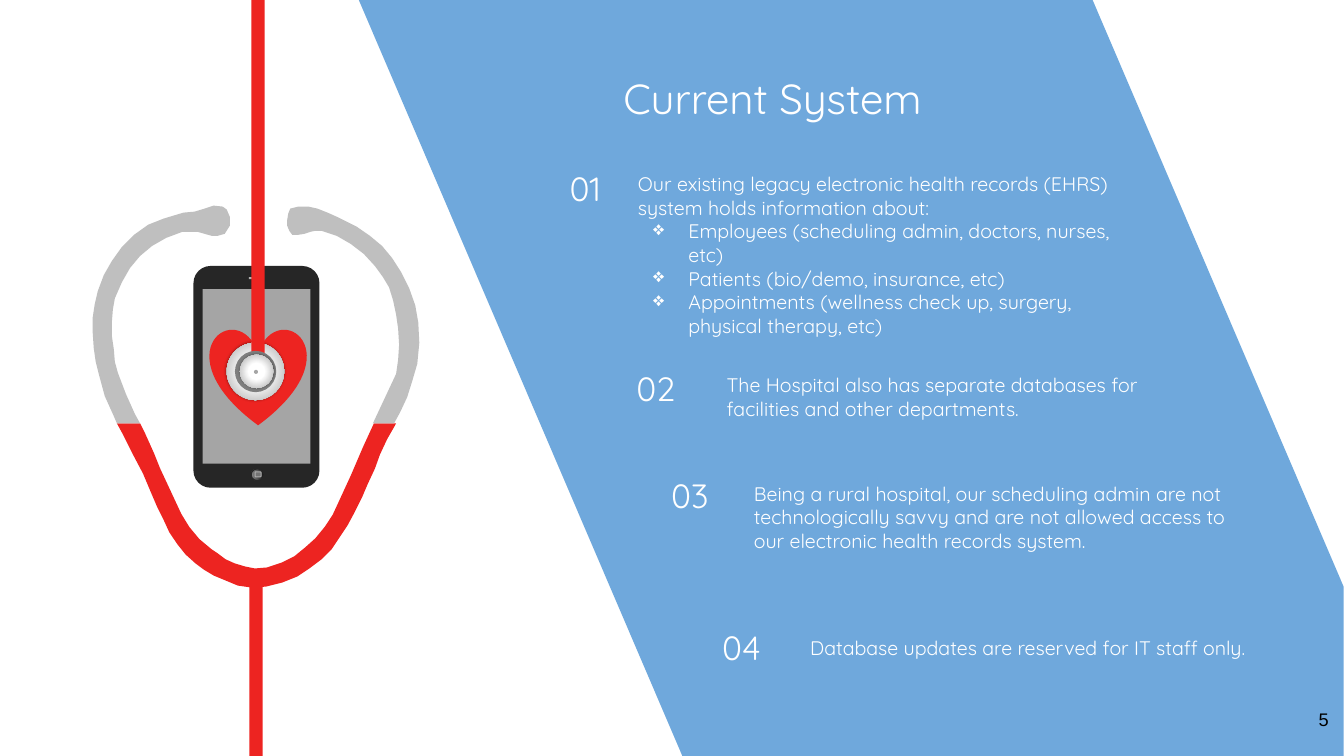
from dataclasses import dataclass

from lxml import etree
from pptx import Presentation
from pptx.dml.color import RGBColor
from pptx.enum import shapes, text
from pptx.oxml import ns
from pptx.util import Pt

WHITE = RGBColor(0xFF, 0xFF, 0xFF)
BLACK = RGBColor(0, 0, 0)
BLUE = RGBColor(0x6F, 0xA8, 0xDC)
RED = RGBColor(0xED, 0x24, 0x21)
DARK = RGBColor(0x26, 0x26, 0x26)
SLATE = RGBColor(0x73, 0x73, 0x73)
STEEL = RGBColor(0x7F, 0x7F, 0x7F)
GRAY = RGBColor(0xA5, 0xA5, 0xA5)
SILVER = RGBColor(0xB0, 0xB0, 0xB0)
LIGHT = RGBColor(0xBF, 0xBF, 0xBF)
COAL = RGBColor(0x0F, 0x0F, 0x0F)
ASH = RGBColor(0x59, 0x59, 0x59)

KIND = shapes.MSO_SHAPE
ALIGN = text.PP_ALIGN
GLOW = ((0, WHITE), (35, WHITE), (100, GRAY))
METAL = ((0, COAL), (56, ASH), (91, STEEL), (100, LIGHT))
GRID = Pt(0.72)  # outline points lie on a grid of 0.72 pt

# Outlines
PANEL = [[(356, 0), (1084, 0), (1333, 582), (1333, 750), (677, 750)]]
YOKE = [[
    (116, 420), (139, 420), (144, 430), (153, 450), (159, 465), (166, 480),
    (173, 495), (180, 510), (188, 523), (198, 535), (210, 545), (216, 549),
    (224, 555), (233, 559), (243, 562), (253, 564), (265, 563), (280, 558),
    (292, 552), (303, 543), (313, 534), (322, 523), (330, 511), (336, 498),
    (342, 485), (348, 472), (354, 458), (360, 444), (371, 420), (393, 420),
    (392, 422), (384, 436), (377, 451), (372, 465), (365, 480), (359, 494),
    (352, 508), (345, 521), (337, 533), (329, 545), (319, 555), (307, 564),
    (295, 572), (280, 578), (264, 582), (250, 583), (236, 581), (224, 576),
    (212, 571), (202, 565), (194, 559), (184, 550), (176, 540), (168, 528),
    (162, 515), (156, 503), (150, 489), (142, 470), (132, 451), (122, 431),
]]
EARS = [
    [(296, 205), (306, 205), (315, 207), (325, 211), (334, 215), (342, 219),
     (354, 225), (367, 234), (379, 244), (389, 256), (398, 270), (406, 286),
     (412, 303), (415, 320), (416, 340), (414, 361), (409, 378), (404, 394),
     (397, 409), (391, 420), (370, 420), (393, 371), (395, 357), (396, 342),
     (395, 326), (393, 312), (390, 298), (386, 285), (380, 275), (372, 264),
     (361, 252), (348, 242), (334, 234), (319, 229), (313, 229), (308, 230),
     (302, 232), (296, 233), (290, 233), (287, 229), (285, 224), (285, 218),
     (286, 212), (288, 207)],
    [(212, 204), (221, 205), (225, 208), (228, 215), (228, 224), (223, 232),
     (216, 234), (210, 234), (203, 232), (196, 230), (189, 230), (181, 230),
     (165, 236), (151, 244), (139, 254), (129, 266), (121, 280), (114, 296),
     (112, 307), (111, 320), (111, 333), (113, 347), (114, 359), (117, 370),
     (125, 391), (134, 411), (139, 420), (116, 420), (113, 413), (104, 393),
     (98, 371), (95, 359), (93, 345), (92, 330), (92, 315), (94, 302),
     (97, 289), (103, 273), (111, 259), (121, 245), (133, 233), (147, 223),
     (162, 217), (172, 214), (182, 211), (193, 210), (203, 207)],
]


@dataclass
class Part:
    kind: KIND
    box: tuple[float, float, float, float]
    fill: RGBColor | tuple
    line: RGBColor | None = None
    width: float = 0
    round: float | None = None
    shade: bool = False


@dataclass
class Item:
    mark: str
    spot: tuple[float, float]
    box: tuple[float, float, float, float]
    lines: tuple[str, ...]
    inset: tuple[float, float] = (8.6, 3.6)


PHONE = [
    Part(KIND.ROUNDED_RECTANGLE, (138.2, 190, 90, 158.4), DARK, round=0.136),
    Part(KIND.RECTANGLE, (177.8, 198, 9.4, 1.4), SILVER),
    Part(KIND.OVAL, (179.3, 334.8, 9.4, 8.6), METAL, DARK, 1),
    Part(KIND.ROUNDED_RECTANGLE, (182.2, 337, 4.3, 3.6), SLATE, SILVER, 0.75, 0.167),
    Part(KIND.RECTANGLE, (144.7, 206.6, 77, 124.6), GRAY),
    Part(KIND.HEART, (149.8, 234.7, 69.1, 69.1), RED),
    Part(KIND.RECTANGLE, (178.2, 410.8, 9.4, 129.2), RED),
    Part(KIND.OVAL, (162, 244.8, 41, 41), GLOW, shade=True),
]
CHEST = [
    Part(KIND.RECTANGLE, (179.6, 0, 9.4, 258), RED),
    Part(KIND.OVAL, (167.8, 250.6, 29.5, 29.5), STEEL),
    Part(KIND.OVAL, (171.4, 253.4, 23.8, 23.8), GLOW, shade=True),
    Part(KIND.OVAL, (181.4, 264.2, 2.9, 2.9), GRAY),
]
ITEMS = [
    Item("01", (380.2, 116.6), (447.1, 119.5, 373.7, 90), (
        "Our existing legacy electronic health records (EHRS) system holds information about:",
        "Employees (scheduling admin, doctors, nurses, etc)",
        "Patients (bio/demo, insurance, etc)",
        "Appointments (wellness check up, surgery, physical therapy, etc)")),
    Item("02", (430.6, 259.2), (511.9, 259.2, 316.1, 51.1), (
        "The Hospital also has separate databases for facilities and other departments.",),
        (7.2, 7.2)),
    Item("03", (455, 335.5), (529.9, 340.6, 355, 40.3), (
        "Being a rural hospital, our scheduling admin are not technologically savvy "
        "and are not allowed access to our electronic health records system.",)),
    Item("04", (491.8, 444.2), (570.2, 450.7, 355, 40.3), (
        "Database updates are reserved for IT staff only.",)),
]


def add(root, tag: str, **attrs: str):
    return etree.SubElement(root, ns.qn(tag), attrs)


def blend(shape, stops: tuple) -> None:
    """Fill with a radial glow, or with a level sweep for metal."""
    shape.fill.gradient()
    grad = shape._element.spPr.find(ns.qn("a:gradFill"))
    for child in list(grad):
        grad.remove(child)
    group = add(grad, "a:gsLst")
    for place, color in stops:
        stop = add(group, "a:gs", pos=str(place * 1000))
        add(stop, "a:srgbClr", val=str(color))
    if stops is GLOW:
        focus = add(grad, "a:path", path="circle")
        add(focus, "a:fillToRect", l="50000", t="50000", r="50000", b="50000")
    else:
        add(grad, "a:lin", ang="10800000", scaled="0")


def draw(slide, part: Part) -> None:
    shape = slide.shapes.add_shape(part.kind, *map(Pt, part.box))
    if part.round is not None:
        shape.adjustments[0] = part.round
    if isinstance(part.fill, RGBColor):
        shape.fill.solid()
        shape.fill.fore_color.rgb = part.fill
    else:
        blend(shape, part.fill)
    if part.line is None:
        shape.line.fill.background()
    else:
        shape.line.color.rgb = part.line
        shape.line.width = Pt(part.width)
    shape.shadow.inherit = False
    if part.shade:
        effect = shape._element.spPr.find(ns.qn("a:effectLst"))
        outer = add(effect, "a:outerShdw", blurRad=str(Pt(2)), dist="0", dir="0")
        add(add(outer, "a:srgbClr", val=str(BLACK)), "a:alpha", val="40000")


def trace(slide, loops: list, color: RGBColor) -> None:
    pen = slide.shapes.build_freeform(*loops[0][0], scale=GRID)
    for place, loop in enumerate(loops):
        if place:
            pen.move_to(*loop[0])
        pen.add_line_segments(loop[1:], close=True)
    shape = pen.convert_to_shape()
    shape.fill.solid()
    shape.fill.fore_color.rgb = color
    shape.line.fill.background()
    shape.shadow.inherit = False


def write(slide, box: tuple, *lines: str, size: float, color: RGBColor = WHITE,
          font: str = "Quicksand", align: ALIGN = ALIGN.LEFT,
          inset: tuple = (8.6, 3.6), middle: bool = False) -> None:
    """Write lines in a box; those after the first are bullets."""
    frame = slide.shapes.add_textbox(*map(Pt, box)).text_frame
    frame.word_wrap = True
    frame.margin_left = frame.margin_right = Pt(inset[0])
    frame.margin_top = frame.margin_bottom = Pt(inset[1])
    if middle:
        frame.vertical_anchor = text.MSO_ANCHOR.MIDDLE
    for place, line in enumerate(lines):
        para = frame.add_paragraph() if place else frame.paragraphs[0]
        para.alignment = align
        if place:
            props = para._p.get_or_add_pPr()
            props.set("marL", str(Pt(36)))
            props.set("indent", str(Pt(-25.2)))
            add(add(props, "a:buClr"), "a:srgbClr", val=str(color))
            add(props, "a:buChar", char="❖")
        run = para.add_run()
        run.text = line
        run.font.name, run.font.size = font, Pt(size)
        run.font.color.rgb = color


def main() -> None:
    deck = Presentation()
    deck.slide_width, deck.slide_height = Pt(960), Pt(540)
    slide = deck.slides.add_slide(deck.slide_layouts[6])

    # Panel, phone and stethoscope
    trace(slide, PANEL, BLUE)
    for part in PHONE:
        draw(slide, part)
    trace(slide, YOKE, RED)
    trace(slide, EARS, LIGHT)
    for part in CHEST:
        draw(slide, part)

    # Title, numbered points and page number
    write(slide, (314.6, 33.1, 474.5, 72.7), "Current System", size=30,
          align=ALIGN.CENTER, inset=(7.2, 3.6), middle=True)
    for item in ITEMS:
        write(slide, (*item.spot, 75.6, 51.1), item.mark, size=24, align=ALIGN.CENTER)
        write(slide, item.box, *item.lines, size=14, inset=item.inset)
    write(slide, (898.6, 499, 57.6, 41), "5", size=13, color=BLACK, font="Arial",
          align=ALIGN.RIGHT, inset=(7.2, 7.2))

    deck.save("out.pptx")


if __name__ == "__main__":
    main()
